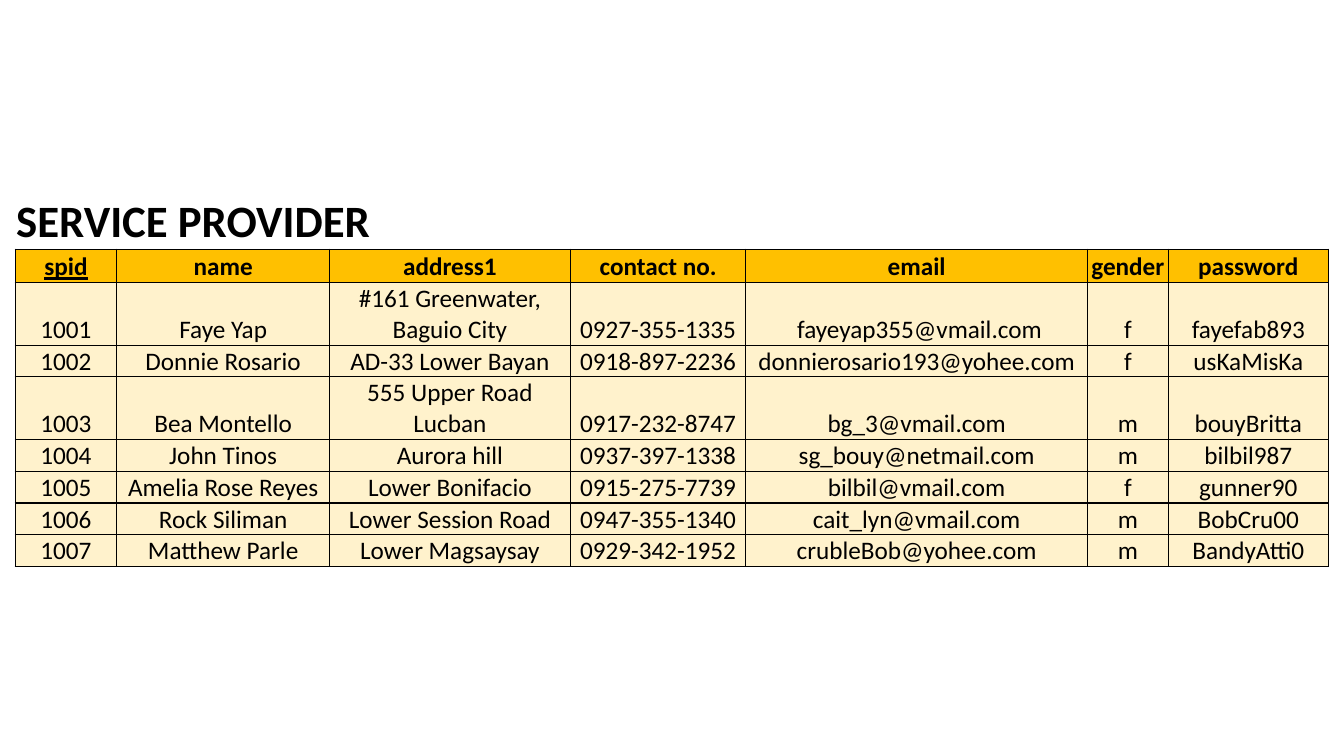
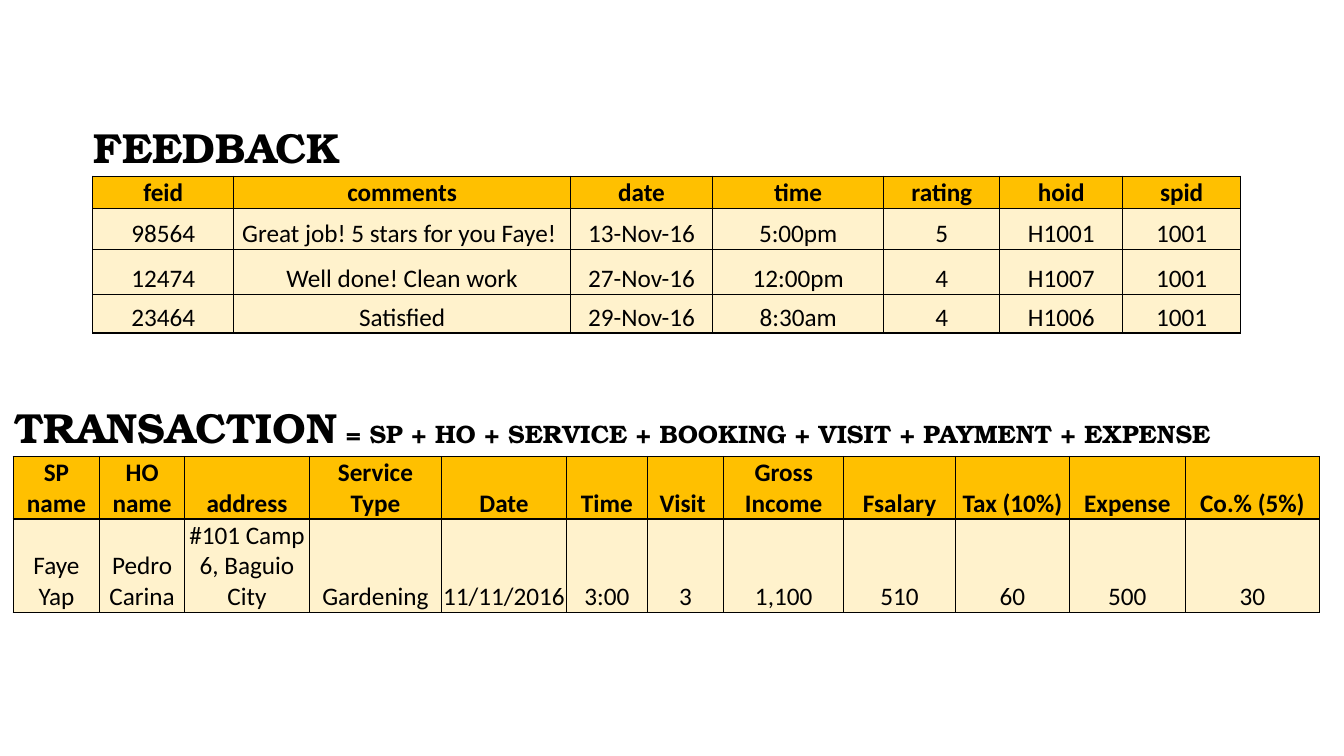
from lxml.etree import SubElement
from pptx import Presentation
from pptx.dml.color import RGBColor
from pptx.enum.text import MSO_ANCHOR as Anchor, PP_ALIGN as Align
from pptx.oxml.ns import qn
from pptx.util import Pt


def color(hex_text):
    return RGBColor.from_string(hex_text)


class Deck:
    """Holds the shared style and the current slide."""

    INK, HEADER, BODY = "000000", "FFC000", "FFF2CC"
    TEXT_FONT, DISPLAY_FONT = "Calibri", "TeX Gyre Bonum"
    TEXT_SIZE = 18
    BORDER = 1
    CELL_FORMAT = {
        "vertical_anchor": Anchor.BOTTOM,
        "margin_left": Pt(0.72),
        "margin_right": Pt(0.72),
        "margin_top": Pt(0.72),
        "margin_bottom": 0,
    }
    TABLE_FORMAT = {"first_row": False, "horz_banding": False}

    def __init__(self, width, height):
        self.presentation = Presentation()
        self.presentation.slide_width = Pt(width)
        self.presentation.slide_height = Pt(height)
        self.slide = None

    def add_slide(self):
        blank = self.presentation.slide_layouts[6]
        self.slide = self.presentation.slides.add_slide(blank)

    @staticmethod
    def apply(target, values):
        for name, value in values.items():
            setattr(target, name, value)

    def borders(self, cell, visible):
        properties = cell._tc.get_or_add_tcPr()
        for side in "LRTB":
            line = SubElement(properties, qn(f"a:ln{side}"), w=str(Pt(self.BORDER)))
            if side in visible:
                fill = SubElement(line, qn("a:solidFill"))
                SubElement(fill, qn("a:srgbClr"), val=self.INK)
            else:
                SubElement(line, qn("a:noFill"))

    def run(self, paragraph, text, **values):
        run = paragraph.add_run()
        run.text = text
        style = {"name": self.TEXT_FONT, "size": Pt(self.TEXT_SIZE), "bold": False}
        self.apply(run.font, style | values)
        run.font.color.rgb = color(self.INK)

    def cell(self, cell, fill=None, visible="LRTB"):
        """Formats a cell and returns its paragraph."""
        self.apply(cell, self.CELL_FORMAT)
        self.borders(cell, visible)
        if fill:
            cell.fill.solid()
            cell.fill.fore_color.rgb = color(fill)
        else:
            cell.fill.background()
        return cell.text_frame.paragraphs[0]

    def table(self, left, top, widths, heights, title, records, key=None):
        """Draws a title row, a header row and the records below them."""
        frame = self.slide.shapes.add_table(
            len(heights), len(widths), Pt(left), Pt(top), Pt(sum(widths)), Pt(sum(heights)))
        table = frame.table
        self.apply(table, self.TABLE_FORMAT)
        for column, width in zip(table.columns, widths):
            column.width = Pt(width)
        for row, height in zip(table.rows, heights):
            row.height = Pt(height)

        # Title row
        paragraphs = [self.cell(cell, visible="B") for cell in table.rows[0].cells]
        table.cell(0, 0).merge(table.cell(0, len(widths) - 1))
        for text, font, size in title:
            self.run(paragraphs[0], text, name=font, size=Pt(size), bold=True)

        # Header and records
        for row_index, record in enumerate(records, 1):
            is_header = row_index == 1
            for column_index, text in enumerate(record):
                paragraph = self.cell(table.cell(row_index, column_index),
                                      self.HEADER if is_header else self.BODY)
                paragraph.alignment = Align.CENTER
                self.run(paragraph, text, bold=is_header,
                         underline=is_header and text == key)


deck = Deck(960, 540)

# Service providers
deck.add_slide()
deck.table(
    10.8, 138.2,
    [72.7, 151.9, 172.1, 125.3, 244.1, 57.6, 114.5],
    [38.9, 23.8, 43.9, 22.3, 43.9] + [22.3] * 4,
    [("SERVICE PROVIDER", deck.TEXT_FONT, 32)],
    [
        ("spid", "name", "address1", "contact no.", "email", "gender", "password"),
        ("1001", "Faye Yap", "#161 Greenwater, Baguio City", "0927-355-1335",
         " fayeyap355@vmail.com", "f", "fayefab893"),
        ("1002", "Donnie Rosario", "AD-33 Lower Bayan", "0918-897-2236",
         "donnierosario193@yohee.com", "f", "usKaMisKa"),
        ("1003", "Bea Montello", "555 Upper Road Lucban", "0917-232-8747",
         "bg_3@vmail.com", "m", "bouyBritta"),
        ("1004", "John Tinos", "Aurora hill", "0937-397-1338",
         "sg_bouy@netmail.com", "m", "bilbil987"),
        ("1005", "Amelia Rose Reyes", "Lower Bonifacio", "0915-275-7739",
         "bilbil@vmail.com", "f", "gunner90"),
        ("1006", "Rock Siliman", "Lower Session Road", "0947-355-1340",
         "cait_lyn@vmail.com", "m", "BobCru00"),
        ("1007", "Matthew Parle", "Lower Magsaysay", "0929-342-1952",
         "crubleBob@yohee.com", "m", "BandyAtti0"),
    ],
    key="spid",
)

# Feedback
deck.add_slide()
deck.table(
    66.2, 81.4,
    [100.8, 240.5, 101.5, 122.4, 82.8, 87.8, 84.2],
    [43.9, 22.3, 29.5, 32.4, 27.4],
    [("FEEDBACK", deck.DISPLAY_FONT, 30)],
    [
        ("feid", "comments", "date", "time", "rating", "hoid", "spid"),
        ("98564", "Great job! 5 stars for you Faye! ", "13-Nov-16", "5:00pm",
         "5", "H1001", "1001"),
        ("12474", "Well done! Clean work", "27-Nov-16", "12:00pm", "4", "H1007", "1001"),
        ("23464", "Satisfied", "29-Nov-16", "8:30am", "4", "H1006", "1001"),
    ],
)

# Transaction
deck.table(
    9.4, 267.1,
    [61.9, 60.5, 89.3, 94.3, 89.3, 57.6, 54.7, 85.7, 79.9, 81.4, 82.8, 95.8],
    [59, 43.9, 65.5],
    [
        ("TRANSACTION", deck.DISPLAY_FONT, 30),
        (" = SP + HO + SERVICE + BOOKING + VISIT + PAYMENT + EXPENSE ",
         deck.DISPLAY_FONT, 18),
    ],
    [
        ("SP name", "HO name", "address", "Service Type", "Date", "Time", "Visit ",
         "Gross Income", "Fsalary", "Tax (10%)", "Expense", "Co.% (5%)"),
        ("Faye Yap", "Pedro Carina", "#101 Camp 6, Baguio City", "Gardening",
         "11/11/2016", "3:00", "3", "1,100", "510", "60", "500", "30"),
    ],
)

deck.presentation.save("out.pptx")
